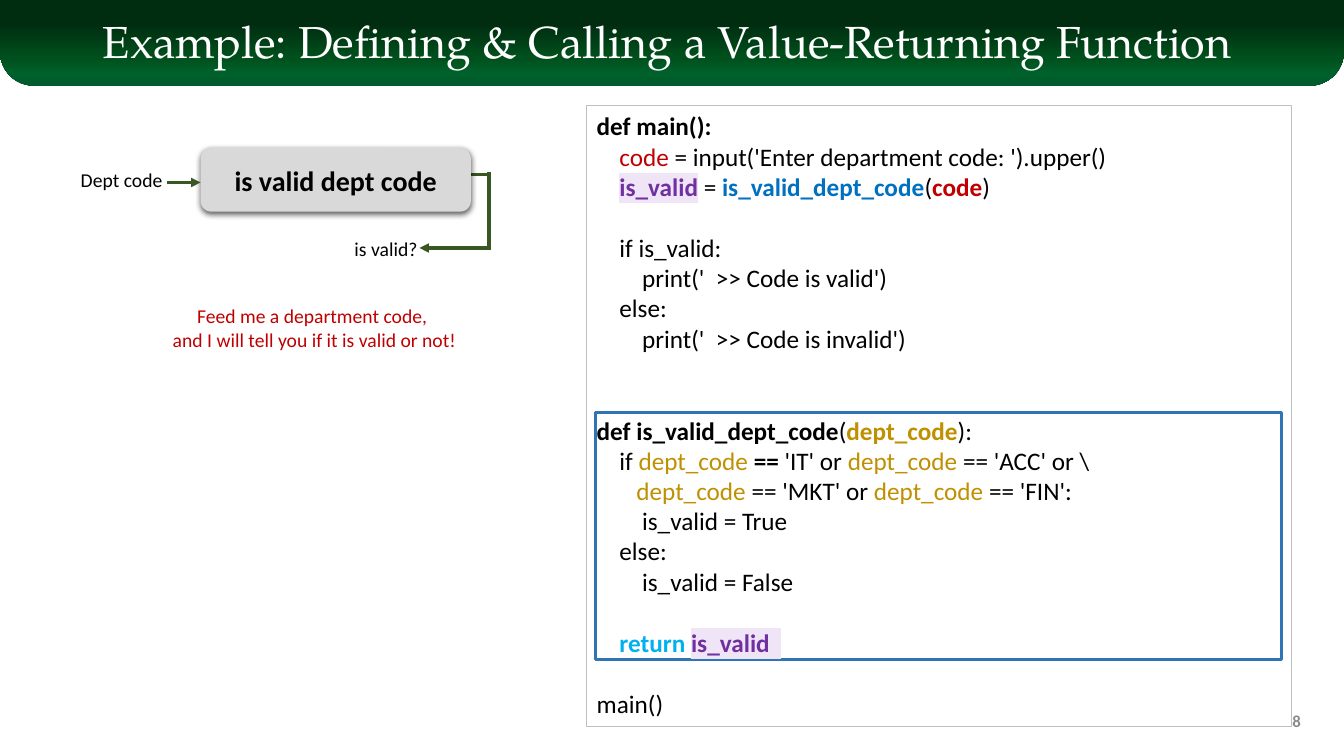
from lxml import etree
from pptx import Presentation
from pptx.dml.color import RGBColor
from pptx.enum.shapes import MSO_CONNECTOR, MSO_SHAPE
from pptx.enum.text import MSO_ANCHOR, PP_ALIGN
from pptx.oxml.ns import qn
from pptx.util import Inches, Pt

LEFT, CENTER, RIGHT = PP_ALIGN.LEFT, PP_ALIGN.CENTER, PP_ALIGN.RIGHT
TOP, MIDDLE = MSO_ANCHOR.TOP, MSO_ANCHOR.MIDDLE
RECT, ROUNDED = MSO_SHAPE.RECTANGLE, MSO_SHAPE.ROUNDED_RECTANGLE
BANNER = MSO_SHAPE.ROUND_2_SAME_RECTANGLE
STRAIGHT = MSO_CONNECTOR.STRAIGHT

BLACK, WHITE = RGBColor(0, 0, 0), RGBColor(255, 255, 255)
RED = RGBColor(0xC0, 0, 0)
PURPLE, LILAC = RGBColor(0x70, 0x30, 0xA0), RGBColor(0xEF, 0xE5, 0xF7)
BLUE, CYAN = RGBColor(0, 0x70, 0xC0), RGBColor(0, 0xB0, 0xF0)
GOLD, GREEN = RGBColor(0xBF, 0x90, 0), RGBColor(0x38, 0x57, 0x23)
FRAME_BLUE = RGBColor(0x2E, 0x75, 0xB6)
GREY, LIGHT_GREY = RGBColor(0xBF, 0xBF, 0xBF), RGBColor(0xD9, 0xD9, 0xD9)
NUMBER_GREY = RGBColor(0x8C, 0x8C, 0x8C)
BANNER_STOPS = [(0, RGBColor(0, 0x2D, 0x10)), (28, RGBColor(0, 0x2D, 0x10)),
                (68, RGBColor(0, 0x50, 0x1D)), (85, RGBColor(0, 0x60, 0x2B)),
                (100, RGBColor(0, 0x5C, 0x2B))]

# style: (colour, bold, highlight)
STYLES = {
    "plain": (BLACK, False, None), "bold": (BLACK, True, None),
    "arg": (RED, False, None), "bold arg": (RED, True, None),
    "result": (PURPLE, True, LILAC), "call": (BLUE, True, None),
    "param": (GOLD, False, None), "bold param": (GOLD, True, None),
    "return": (CYAN, True, None),
}
# (indent in characters, empty lines above, [(text, style)])
CODE = [
    (0, 0, [("def main():", "bold")]),
    (4, 0, [("code", "arg"),
            (" = input('Enter department code: ').upper()", "plain")]),
    (4, 0, [("is_valid", "result"), (" = ", "plain"),
            ("is_valid_dept_code", "call"), ("(", "plain"),
            ("code", "bold arg"), (")", "plain")]),
    (4, 1, [("if is_valid:", "plain")]),
    (8, 0, [("print('  >> Code is valid')", "plain")]),
    (4, 0, [("else:", "plain")]),
    (8, 0, [("print('  >> Code is invalid')", "plain")]),
    (0, 2, [("def is_valid_dept_code", "bold"), ("(", "plain"),
            ("dept_code", "bold param"), ("):", "plain")]),
    (4, 0, [("if ", "plain"), ("dept_code ", "param"), ("==", "bold"),
            (" 'IT' or ", "plain"), ("dept_code ", "param"),
            ("== 'ACC' or \\", "plain")]),
    (7, 0, [("dept_code ", "param"), ("== 'MKT' or ", "plain"),
            ("dept_code ", "param"), ("== 'FIN':", "plain")]),
    (8, 0, [("is_valid = True", "plain")]),
    (4, 0, [("else:", "plain")]),
    (8, 0, [("is_valid = False", "plain")]),
    (4, 1, [("return ", "return"), ("is_valid  ", "result")]),
    (0, 1, [("main()", "plain")]),
]
CHAR_WIDTH = Inches(0.9) // 16
CODE_LINE = Pt(22)

# (text, box, wrap, anchor, alignment, font)
TITLE = ("Example: Defining & Calling a Value-Returning Function",
         (0.92, 0.13, 11.5, 0.61), True, MIDDLE, LEFT,
         {"size": Pt(32), "name": "TeX Gyre Pagella", "color": WHITE})
NUMBER = ("8", (10, 6.95, 3, 0.4), True, MIDDLE, RIGHT,
          {"size": Pt(12), "bold": True, "color": NUMBER_GREY})
LABELS = [
    ("Dept code", (0.69, 1.62, 1.02, 0.34), False, TOP, RIGHT, {"size": Pt(14)}),
    ("is valid?", (3.4, 2.3, 0.84, 0.34), False, TOP, RIGHT, {"size": Pt(14)}),
    ("Feed me a department code, \nand I will tell you if it is valid or not!",
     (1.52, 2.97, 3.2, 0.57), True, TOP, CENTER, {"size": Pt(14), "color": RED}),
]
# (from, to, has arrowhead)
OUTPUT_LINES = [((4.33, 1.73), (4.85, 1.73), False),
                ((4.87, 2.46), (4.16, 2.46), True),
                ((4.85, 1.71), (4.85, 2.47), False)]
INPUT_LINE = ((1.66, 1.81), (1.99, 1.81), True)


def child(parent, tag, **attrs):
    """Append an XML element with the given attributes."""
    el = etree.SubElement(parent, qn(tag))
    for key, value in attrs.items():
        el.set(key, str(value))
    return el


def style_run(r, font):
    """Apply a dict of font values to a run."""
    values = {"name": "Calibri", "size": Pt(18), "bold": False, "color": BLACK, **font}
    r.font.color.rgb = values.pop("color")
    for key, value in values.items():
        setattr(r.font, key, value)


def highlight(r, color):
    """Put a marker colour behind a run."""
    rpr = r.font._element
    mark = child(rpr, "a:highlight")
    child(mark, "a:srgbClr", val=color)
    rpr.find(qn("a:solidFill")).addnext(mark)


def write(tf, text, align, font):
    """Write one paragraph, breaking lines at newlines."""
    p = tf.paragraphs[0]
    p.alignment = align
    for i, line in enumerate(text.split("\n")):
        if i:
            p.add_line_break()
        r = p.add_run()
        r.text = line
        style_run(r, font)
    return p


def add_text(s, text, box, wrap, anchor, align, font):
    """Add a text box and return its paragraph."""
    tf = s.shapes.add_textbox(*map(Inches, box)).text_frame
    tf.word_wrap, tf.vertical_anchor = wrap, anchor
    return write(tf, text, align, font)


def add_box(s, kind, box, fill=None, line=None, width=0):
    """Add a preset shape with plain fill and line."""
    sp = s.shapes.add_shape(kind, *map(Inches, box))
    sp.shadow.inherit = False
    if fill is None:
        sp.fill.background()
    else:
        sp.fill.solid()
        sp.fill.fore_color.rgb = fill
    if line is None:
        sp.line.fill.background()
    else:
        sp.line.color.rgb, sp.line.width = line, Pt(width)
    return sp


def add_line(s, start, end, arrow):
    """Add a green connector, with an arrowhead if asked."""
    c = s.shapes.add_connector(STRAIGHT, *map(Inches, start + end))
    c.line.color.rgb, c.line.width = GREEN, Pt(2.25)
    if arrow:
        child(c.line._get_or_add_ln(), "a:tailEnd", type="triangle")
    child(c._element.spPr, "a:effectLst")


def add_banner(s):
    """Add the green gradient band with rounded lower corners."""
    sp = add_box(s, BANNER, (0, 0, 13.33, 0.85), WHITE)
    sp.adjustments[0], sp.adjustments[1] = 0, 0.4
    sp.fill.gradient()
    grad = sp._element.spPr.find(qn("a:gradFill"))
    for el in list(grad):
        grad.remove(el)
    stops = child(grad, "a:gsLst")
    for pos, color in BANNER_STOPS:
        child(child(stops, "a:gs", pos=pos * 1000), "a:srgbClr", val=color)
    child(grad, "a:lin", ang=90 * 60000, scaled=0)


def add_function_box(s):
    """Add the grey function box with its soft shadow."""
    sp = add_box(s, ROUNDED, (1.99, 1.47, 2.68, 0.63), LIGHT_GREY)
    shadow = child(sp._element.spPr.find(qn("a:effectLst")), "a:outerShdw",
                   blurRad=Pt(4.5), dist=Pt(1.5), dir=90 * 60000, rotWithShape=0)
    child(child(shadow, "a:srgbClr", val=BLACK), "a:alpha", val=63000)
    sp.text_frame.vertical_anchor = MIDDLE
    write(sp.text_frame, "is valid dept code", CENTER, {"size": Pt(20), "bold": True})


def add_code(s):
    """Add the framed program listing."""
    tf = add_box(s, RECT, (5.82, 1.05, 6.99, 6.16), line=GREY, width=0.75).text_frame
    tf.word_wrap, tf.vertical_anchor = True, TOP
    for i, (indent, gap, runs) in enumerate(CODE):
        p = tf.add_paragraph() if i else tf.paragraphs[0]
        p.alignment, p.space_before = LEFT, gap * CODE_LINE
        p._p.get_or_add_pPr().set("marL", str(indent * CHAR_WIDTH))
        for text, style in runs:
            color, bold, marker = STYLES[style]
            r = p.add_run()
            r.text = text
            style_run(r, {"color": color, "bold": bold})
            if marker is not None:
                highlight(r, marker)


prs = Presentation()
prs.slide_width, prs.slide_height = Inches(13.33), Inches(7.5)
s = prs.slides.add_slide(prs.slide_layouts[6])
add_banner(s)
add_box(s, RECT, (5.91, 4.09, 6.8, 2.45), line=FRAME_BLUE, width=2.25)
add_text(s, *TITLE).line_spacing = 0.9
add_text(s, *NUMBER)
for line in OUTPUT_LINES:
    add_line(s, *line)
add_function_box(s)
add_line(s, *INPUT_LINE)
for label in LABELS:
    add_text(s, *label)
add_code(s)
prs.save("out.pptx")
